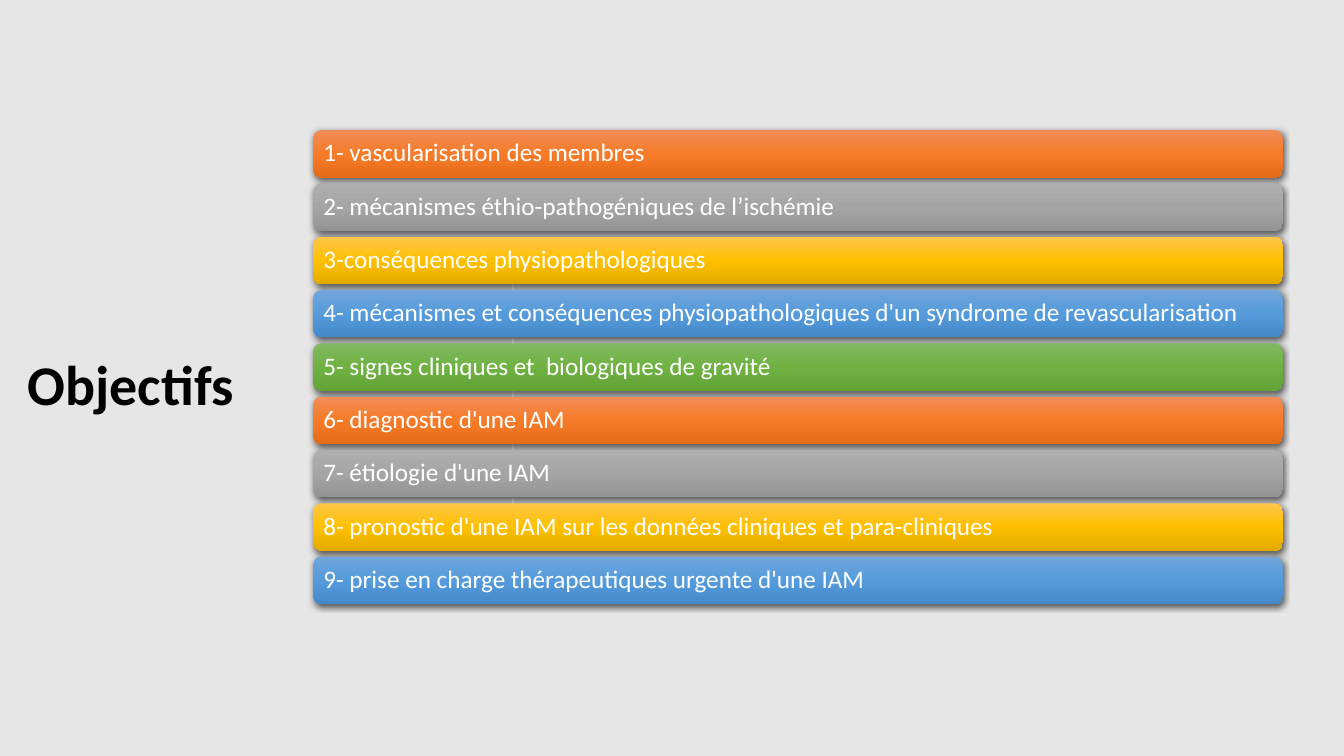
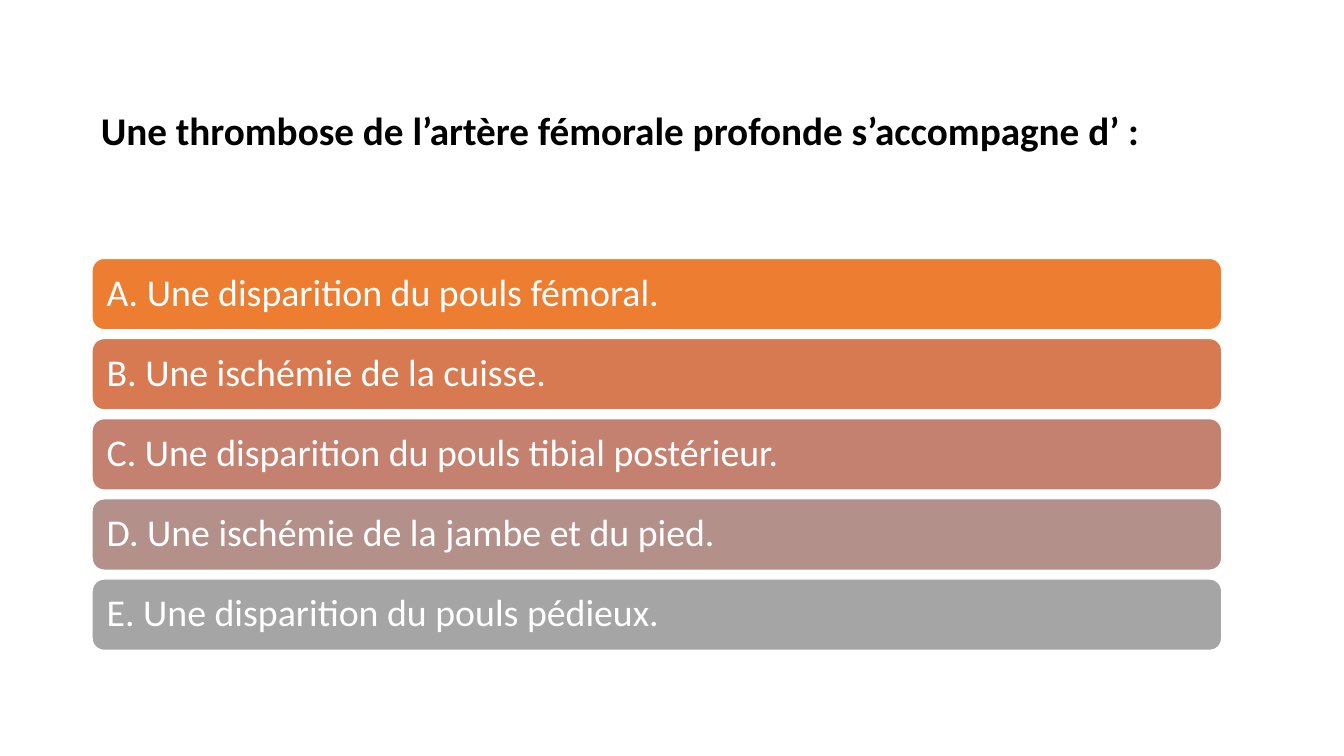
from copy import deepcopy
from dataclasses import dataclass

from lxml.etree import SubElement
from pptx import Presentation
from pptx.dml.color import RGBColor
from pptx.enum.shapes import MSO_CONNECTOR, MSO_SHAPE
from pptx.enum.text import MSO_ANCHOR, PP_ALIGN
from pptx.oxml.ns import qn
from pptx.util import Cm, Pt


@dataclass(frozen=True)
class Theme:
    font: str = "Calibri"
    ink: str = "000000"
    paper: str = "FFFFFF"
    grey_paper: str = "E7E6E6"
    title_size: float = 40
    question_size: float = 28
    goal_size: float = 18
    answer_size: float = 27
    # top, middle and bottom colour of each glossy bar
    glossy: tuple = (
        ("F18C57", "F67B28", "E56C19"),
        ("AFAFAF", "A5A5A5", "939393"),
        ("FFC64B", "FFC000", "E3AB00"),
        ("71A6DB", "559BDB", "448ACA"),
        ("81B861", "6FB242", "62A336"),
    )
    flat: tuple = ("ED7D31", "D87A51", "C48170", "B4908B", "A5A5A5")


@dataclass(frozen=True)
class Box:
    """A region of the slide, in centimetres."""
    left: float
    top: float
    width: float
    height: float

    def emu(self):
        return Cm(self.left), Cm(self.top), Cm(self.width), Cm(self.height)

    def rows(self, count, gap):
        """Split the box into equal rows, with a gap between them."""
        height = (self.height - gap * (count - 1)) / count
        for row in range(count):
            yield Box(self.left, self.top + row * (height + gap), self.width, height)


THEME = Theme()

GOALS = (
    "1- vascularisation des membres",
    "2- mécanismes éthio-pathogéniques de l’ischémie",
    "3-conséquences physiopathologiques",
    "4- mécanismes et conséquences physiopathologiques d'un syndrome de revascularisation",
    "5- signes cliniques et  biologiques de gravité",
    "6- diagnostic d'une IAM",
    "7- étiologie d'une IAM",
    "8- pronostic d'une IAM sur les données cliniques et para-cliniques",
    "9- prise en charge thérapeutiques urgente d'une IAM",
)
ANSWERS = (
    "A. Une disparition du pouls fémoral.",
    "B. Une ischémie de la cuisse.",
    "C. Une disparition du pouls tibial postérieur.",
    "D. Une ischémie de la jambe et du pied.",
    "E. Une disparition du pouls pédieux.",
)


def rgb(code):
    return RGBColor.from_string(code)


def set_all(target, formats):
    for attribute, value in formats.items():
        setattr(target, attribute, value)


def write(shape, text, size, color, bold=False, inset=0.0, spacing=0.9):
    """Put one left-aligned, vertically centred paragraph in a shape."""
    frame = shape.text_frame
    margin = Cm(inset)
    set_all(frame, {
        "word_wrap": True, "vertical_anchor": MSO_ANCHOR.MIDDLE,
        "margin_left": margin, "margin_right": margin,
        "margin_top": margin, "margin_bottom": margin,
    })
    paragraph = frame.paragraphs[0]
    set_all(paragraph, {"text": text, "alignment": PP_ALIGN.LEFT, "line_spacing": spacing})
    set_all(paragraph.font, {"name": THEME.font, "size": Pt(size), "bold": bold})
    paragraph.font.color.rgb = rgb(color)


def add_heading(slide, box, text, size, spacing=0.9):
    heading = slide.shapes.add_textbox(*box.emu())
    write(heading, text, size, THEME.ink, bold=True, spacing=spacing)


def paint_glossy(bar, colors):
    """Give a bar a vertical three-colour gradient and a soft shadow."""
    bar.line.fill.background()
    bar.fill.gradient()
    properties = bar._element.spPr
    stops = properties.find(".//" + qn("a:gsLst"))
    stops.append(deepcopy(stops[0]))
    bar.fill.gradient_angle = 270
    for stop, position, color in zip(bar.fill.gradient_stops, (0, 0.5, 1), colors):
        stop.position = position
        stop.color.rgb = rgb(color)
    shadow = SubElement(properties.find(qn("a:effectLst")), qn("a:outerShdw"),
                        blurRad=str(Pt(4.5)), dist=str(Pt(1.5)), dir="5400000",
                        algn="ctr", rotWithShape="0")
    shade = SubElement(shadow, qn("a:srgbClr"), val=THEME.ink)
    SubElement(shade, qn("a:alpha"), val="63000")


def paint_flat(bar, color):
    bar.fill.solid()
    bar.fill.fore_color.rgb = rgb(color)
    bar.line.color.rgb = rgb(THEME.paper)
    bar.line.width = Pt(1)


def add_bars(slide, box, texts, paint, palette, size, gap, inset):
    """Stack one rounded bar per text, cycling through the palette."""
    for index, (text, row) in enumerate(zip(texts, box.rows(len(texts), gap))):
        bar = slide.shapes.add_shape(MSO_SHAPE.ROUNDED_RECTANGLE, *row.emu())
        bar.adjustments[0] = 0.17
        bar.shadow.inherit = False
        paint(bar, palette[index % len(palette)])
        write(bar, text, size, THEME.paper, inset=inset)


def add_divider(slide, x, top, bottom):
    divider = slide.shapes.add_connector(
        MSO_CONNECTOR.STRAIGHT, Cm(x), Cm(top), Cm(x), Cm(bottom))
    divider.line.color.rgb = rgb(THEME.paper)
    divider.line.width = Pt(1.25)
    SubElement(divider._element.spPr, qn("a:effectLst"))


def add_slide(deck, paper):
    slide = deck.slides.add_slide(deck.slide_layouts[6])
    slide.background.fill.solid()
    slide.background.fill.fore_color.rgb = rgb(paper)
    return slide


def build_goals(deck):
    slide = add_slide(deck, THEME.grey_paper)
    add_heading(slide, Box(0.7, 3.2, 7, 13.13), "Objectifs", THEME.title_size)
    add_divider(slide, 12.93, 6.35, 12.7)
    add_bars(slide, Box(7.9, 3.28, 24.43, 11.94), GOALS, paint_glossy,
             THEME.glossy, THEME.goal_size, gap=0.15, inset=0.19)


def build_question(deck):
    slide = add_slide(deck, THEME.paper)
    add_heading(slide, Box(2.54, 2.54, 29.3, 1.45),
                "Une thrombose de l’artère fémorale profonde s’accompagne d’ :",
                THEME.question_size, spacing=1.0)
    add_bars(slide, Box(2.32, 6.51, 28.47, 9.88), ANSWERS, paint_flat,
             THEME.flat, THEME.answer_size, gap=0.22, inset=0.28)


def main():
    deck = Presentation()
    set_all(deck, {"slide_width": Cm(33.87), "slide_height": Cm(19.05)})
    build_goals(deck)
    build_question(deck)
    deck.save("out.pptx")


if __name__ == "__main__":
    main()
